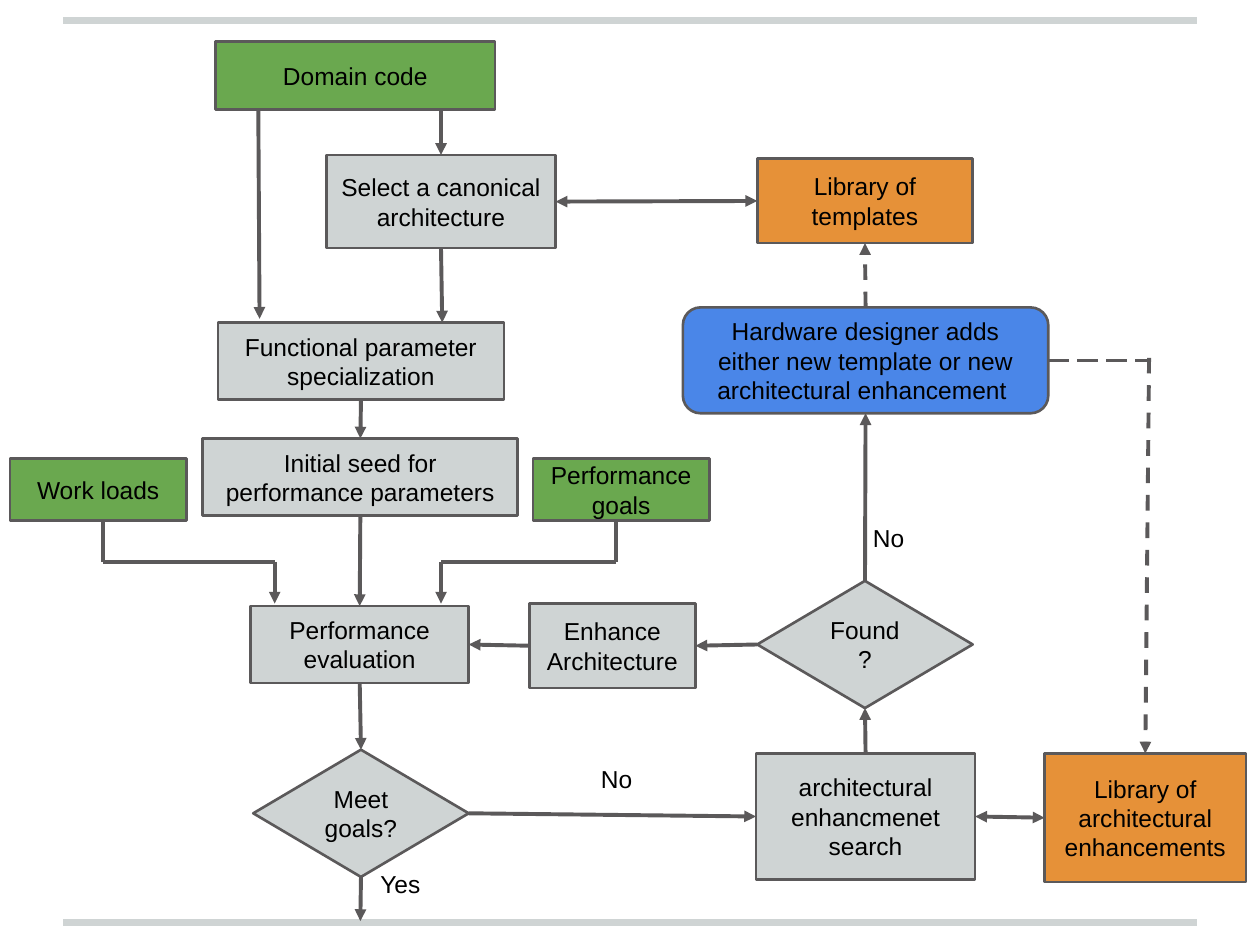
from lxml import etree
from pptx import Presentation
from pptx.dml.color import RGBColor
from pptx.enum.dml import MSO_LINE
from pptx.enum.shapes import MSO_CONNECTOR, MSO_SHAPE
from pptx.enum.text import MSO_ANCHOR, MSO_AUTO_SIZE, PP_ALIGN
from pptx.oxml.ns import qn
from pptx.util import Emu, Pt

PX = 9144  # 100 px to the inch
GREEN = RGBColor(0x6A, 0xA8, 0x4F)
GREY = RGBColor(0xCF, 0xD4, 0xD4)
ORANGE = RGBColor(0xE6, 0x91, 0x38)
BLUE = RGBColor(0x4A, 0x86, 0xE8)
DARK = RGBColor(0x5B, 0x59, 0x5A)
BLACK = RGBColor(0, 0, 0)
TOP, LEFT, BOTTOM, RIGHT = range(4)


def px(*vals):
    return [Emu(v * PX) for v in vals]


def style(frame, text, pad, align):
    frame.word_wrap = True
    frame.margin_left = frame.margin_right = Emu(10 * PX)
    frame.margin_top = frame.margin_bottom = Emu(pad * PX)
    frame.text = text
    para = frame.paragraphs[0]
    para.alignment = align
    font = para.runs[0].font
    font.name, font.size = "Arial", Pt(14)
    font.color.rgb = BLACK


def node(slide, text, x, y, w, h, fill=GREY, kind=MSO_SHAPE.RECTANGLE):
    shape = slide.shapes.add_shape(kind, *px(x, y, w, h))
    shape.shadow.inherit = False
    shape.fill.solid()
    shape.fill.fore_color.rgb = fill
    shape.line.color.rgb = DARK
    shape.line.width = Pt(1.5)
    shape.text_frame.vertical_anchor = MSO_ANCHOR.MIDDLE
    style(shape.text_frame, text, 10, PP_ALIGN.CENTER)
    return shape


def label(slide, text, x, y):
    frame = slide.shapes.add_textbox(*px(x, y, 58, 9)).text_frame
    style(frame, text, 0, PP_ALIGN.LEFT)
    frame.auto_size = MSO_AUTO_SIZE.SHAPE_TO_FIT_TEXT


def wire(slide, start, end, tips="tail", dash=None, width=2.25, color=DARK):
    """Each end is an (x, y) point in px or a (shape, side) pair."""
    spots = [p if isinstance(p[0], int) else (0, 0) for p in (start, end)]
    line = slide.shapes.add_connector(
        MSO_CONNECTOR.STRAIGHT, *px(*spots[0], *spots[1]))
    if not isinstance(start[0], int):
        line.begin_connect(*start)
    if not isinstance(end[0], int):
        line.end_connect(*end)
    line.line.color.rgb = color
    line.line.width = Pt(width)
    if dash:
        line.line.dash_style = dash
    props = line._element.spPr
    for tip in tips.split():
        etree.SubElement(props.find(qn("a:ln")), qn(f"a:{tip}End"),
                         type="triangle")
    etree.SubElement(props, qn("a:effectLst"))


def rules(slide, x, y, w, h):
    for row in (y, y + h):
        wire(slide, (x, row), (x + w, row), tips="", width=4, color=GREY)


def setup(slide, x, y):
    """Domain code down to the initial seed."""
    code = node(slide, "Domain code", x + 10, y, 222, 54, GREEN)
    pick = node(slide, "Select a canonical architecture",
                x + 98, y + 90, 182, 74)
    spec = node(slide, "Functional parameter specialization",
                x + 12, y + 223, 227, 61)
    seed = node(slide, "Initial seed for performance parameters",
                x, y + 315, 250, 61)
    base = code.top // PX + 54
    wire(slide, (x + 44, base), (x + 45, y + 220))
    wire(slide, (x + 189, base), (pick, TOP))
    wire(slide, (pick, BOTTOM), (x + 190, y + 223))
    wire(slide, (spec, BOTTOM), (seed, TOP))
    return pick, seed


def score(slide, x, y):
    """Work loads and goals feed the evaluation and its test."""
    for text, left in (("Work loads", 0), ("Performance goals", 415)):
        node(slide, text, x + left, y, 140, 49, GREEN)
    rate = node(slide, "Performance evaluation", x + 191, y + 117, 173, 61)
    test = node(slide, "Meet goals?", x + 193, y + 231, 171, 101,
                kind=MSO_SHAPE.DIAMOND)
    # Bent feeds: down, across, down
    for near, far in ((74, 210), (481, 342)):
        wire(slide, (x + near, y + 48), (x + near, y + 82), tips="")
        wire(slide, (x + near, y + 82), (x + far, y + 82), tips="")
        wire(slide, (x + far, y + 82), (x + far, y + 115))
    wire(slide, (rate, BOTTOM), (test, TOP))
    wire(slide, (test, BOTTOM), (x + 278, y + 367))
    label(slide, "Yes", x + 284, y + 326)
    label(slide, "No", x + 459, y + 242)
    return rate, test


def search(slide, x, y):
    """Libraries, designer and enhancement search."""
    forms = node(slide, "Library of templates", x + 181, y, 171, 67, ORANGE)
    man = node(slide, "Hardware designer adds either new template or new "
               "architectural enhancement ", x + 122, y + 118, 290, 84,
               BLUE, MSO_SHAPE.ROUNDED_RECTANGLE)
    found = node(slide, "Found?", x + 181, y + 335, 171, 101,
                 kind=MSO_SHAPE.DIAMOND)
    grow = node(slide, "Enhance Architecture", x, y + 353, 132, 67)
    hunt = node(slide, "architectural enhancmenet search",
                x + 180, y + 472, 174, 100)
    store = node(slide, "Library of architectural enhancements",
                 x + 409, y + 472, 160, 102, ORANGE)
    wire(slide, (hunt, RIGHT), (store, LEFT), "head tail")
    wire(slide, (hunt, TOP), (found, BOTTOM))
    wire(slide, (found, LEFT), (grow, RIGHT))
    wire(slide, (found, TOP), (man, BOTTOM))
    wire(slide, (man, TOP), (forms, BOTTOM), dash=MSO_LINE.DASH)
    wire(slide, (man, RIGHT), (x + 493, y + 160), "", MSO_LINE.LONG_DASH, 1.5)
    wire(slide, (x + 492, y + 158), (store, TOP), dash=MSO_LINE.DASH)
    label(slide, "No", x + 263, y + 289)
    return forms, grow, hunt


def main():
    deck = Presentation()
    deck.slide_width, deck.slide_height = px(1000, 750)
    slide = deck.slides.add_slide(deck.slide_layouts[6])
    rules(slide, 50, 16, 900, 716)
    pick, seed = setup(slide, 161, 33)
    rate, test = score(slide, 8, 364)
    forms, grow, hunt = search(slide, 420, 126)
    # Links between the regions
    wire(slide, (pick, RIGHT), (forms, LEFT), "head tail")
    wire(slide, (seed, BOTTOM), (rate, TOP))
    wire(slide, (grow, LEFT), (rate, RIGHT))
    wire(slide, (test, RIGHT), (hunt, LEFT))
    deck.save("out.pptx")


if __name__ == "__main__":
    main()
